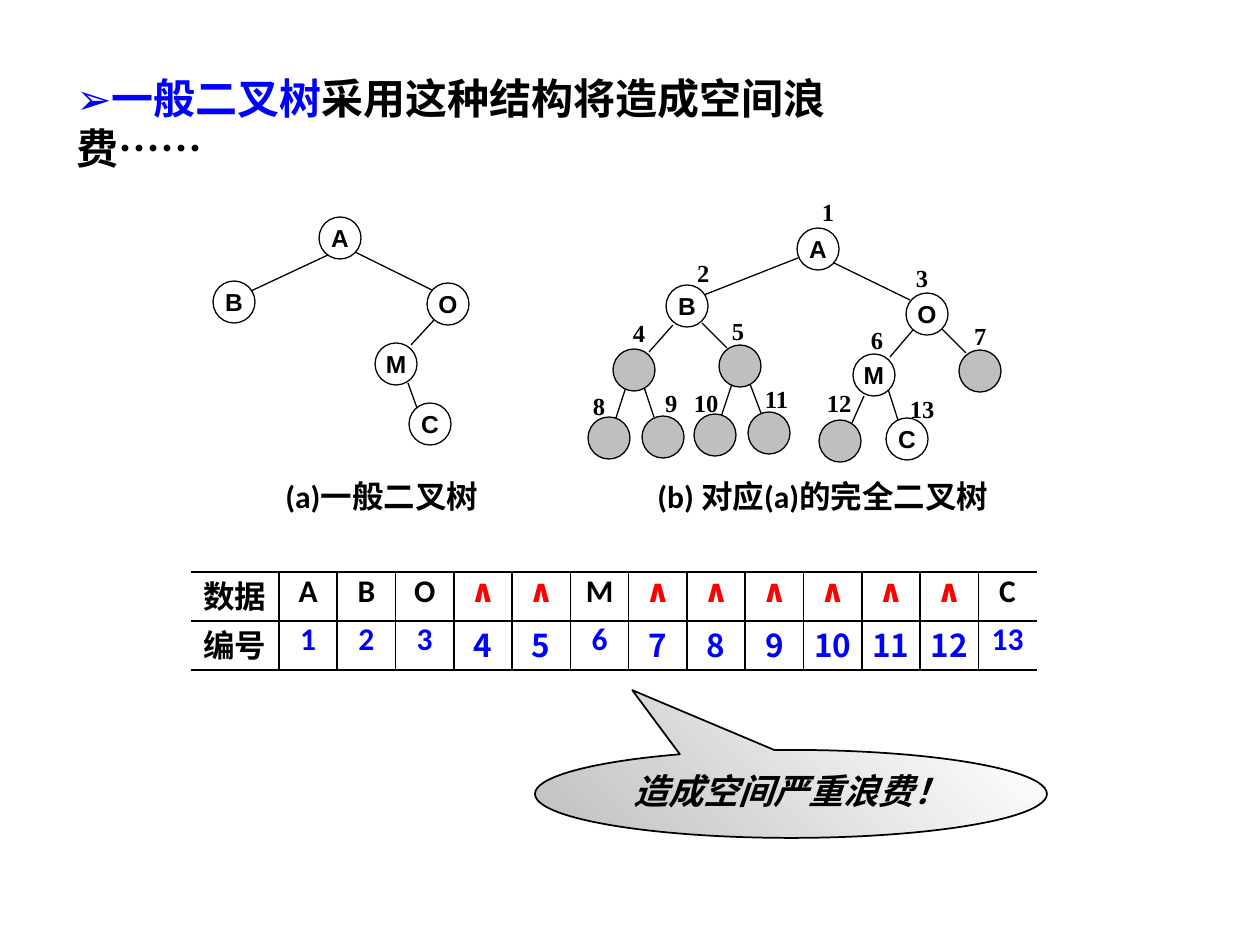
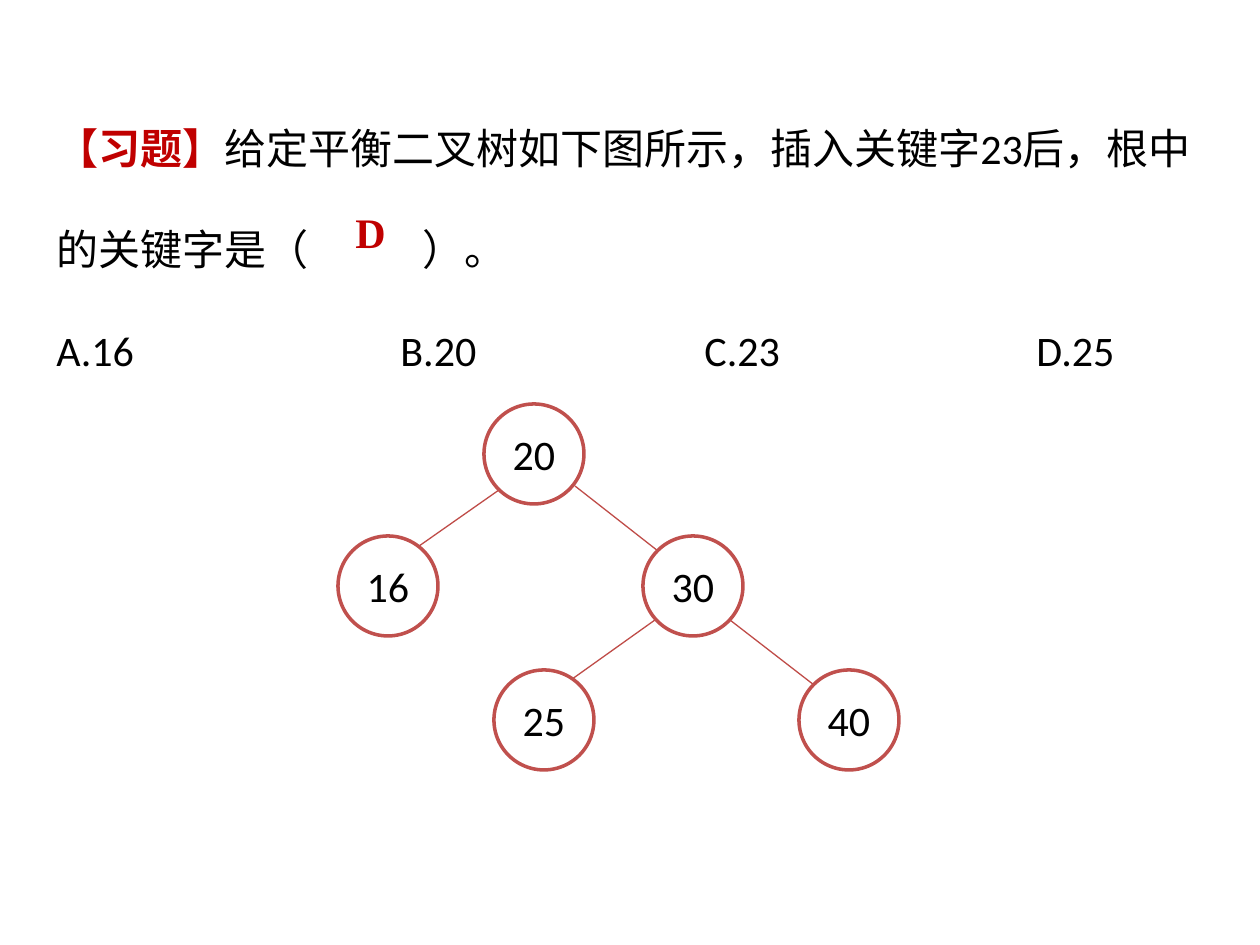
from pptx import Presentation
from pptx.dml.color import RGBColor
from pptx.enum.shapes import MSO_CONNECTOR as Link, MSO_SHAPE as Shape
from pptx.enum.text import MSO_ANCHOR as Anchor, PP_ALIGN as Align
from pptx.oxml.ns import qn
from pptx.util import Pt
from lxml.etree import SubElement

SCALE = 914400 / 126
BLACK, WHITE, GREY = "000000", "FFFFFF", "BFBFBF"
BLUE, RED, DARK = "0000FF", "FF0000", "C00000"
ROSE, EDGE = "C0504D", "BF4C48"
HAN = "Noto Sans CJK SC"

BODY = dict(name="Calibri", size=Pt(24), bold=False, color=BLACK)
HEAD = BODY | dict(bold=True)
CELL = HEAD | dict(size=Pt(18))
LETTER = dict(name="Arial", size=Pt(14), bold=True, color=BLACK)
NUMBER = LETTER | dict(name="Times New Roman")
ANSWER = dict(name="Times New Roman", size=Pt(24), bold=True, color=DARK)
SHOUT = ANSWER | dict(size=Pt(20), italic=True, color=BLACK)

PLAIN = dict(
    nodes=[("A", 340, 238), ("B", 234, 302), ("O", 448, 304),
           ("M", 396, 364), ("C", 430, 424)],
    edges=[(328, 255, 251, 291), (355, 252, 432, 290),
           (435, 319, 411, 345), (408, 383, 417, 408)])
# An empty letter marks a padding node.
FULL = dict(
    nodes=[("A", 818, 249), ("B", 687, 306), ("O", 927, 314),
           ("", 634, 370), ("", 740, 366), ("M", 874, 375), ("", 980, 371),
           ("", 609, 438), ("", 663, 437), ("", 715, 435), ("", 769, 433),
           ("", 840, 441), ("C", 907, 439)],
    edges=[(798, 258, 704, 295), (834, 263, 910, 300),
           (673, 325, 649, 352), (702, 323, 727, 348),
           (913, 330, 890, 357), (941, 328, 966, 353),
           (626, 387, 615, 421), (644, 387, 654, 417),
           (732, 384, 721, 417), (750, 384, 761, 413),
           (864, 396, 852, 423), (888, 389, 898, 420)])
# Left edge and middle height of the numbers 1 to 13.
MARKS = [(822, 212), (697, 273), (916, 278), (633, 333), (732, 331),
         (871, 340), (974, 336), (593, 406), (665, 403), (694, 403),
         (765, 399), (827, 403), (910, 409)]
SEARCH = dict(
    nodes=[("20", 534, 454), ("16", 388, 586), ("30", 693, 586),
           ("25", 544, 720), ("40", 849, 720)],
    edges=[(499, 490, 412, 551), (575, 486, 658, 551),
           (655, 620, 568, 682), (730, 620, 814, 685)])


def px(*nums):
    return [round(n * SCALE) for n in nums]


def rgb(code):
    return RGBColor.from_string(code)


def put(para, text, form):
    """Add one run in the given format."""
    run = para.add_run()
    run.text = text
    for key, value in form.items():
        if key == "color":
            run.font.color.rgb = rgb(value)
        else:
            setattr(run.font, key, value)
    SubElement(run.font._element, qn("a:ea"), typeface=HAN)


def pad(frame, size):
    for side in ("left", "top", "right", "bottom"):
        setattr(frame, "margin_" + side, px(size)[0])


def box(slide, area, *runs, align=Align.LEFT):
    """Add a wrapping text box; each run is (text, format)."""
    frame = slide.shapes.add_textbox(*px(*area)).text_frame
    frame.word_wrap = True
    para = frame.paragraphs[0]
    para.alignment = align
    for text, form in runs:
        put(para, text, form)
    return frame


def stops(para, *places):
    tabs = SubElement(para._p.get_or_add_pPr(), qn("a:tabLst"))
    for place in px(*places):
        SubElement(tabs, qn("a:tab"), pos=str(place), algn="l")


def form(slide, kind, area, color, width):
    """Add a preset shape with an outline and no shadow."""
    shape = slide.shapes.add_shape(kind, *px(*area))
    shape.shadow.inherit = False
    shape.line.color.rgb = rgb(color)
    shape.line.width = Pt(width)
    return shape


def node(slide, text, x, y, size, line, width, style):
    area = (x - size / 2, y - size / 2, size, size)
    disc = form(slide, Shape.OVAL, area, line, width)
    disc.fill.solid()
    disc.fill.fore_color.rgb = rgb(WHITE if text else GREY)
    if text:
        frame = disc.text_frame
        pad(frame, 0)
        frame.word_wrap = False
        frame.vertical_anchor = Anchor.MIDDLE
        frame.paragraphs[0].alignment = Align.CENTER
        put(frame.paragraphs[0], text, style)


def edge(slide, ends, color):
    line = slide.shapes.add_connector(Link.STRAIGHT, *px(*ends))
    line.line.color.rgb = rgb(color)
    line.line.width = Pt(0.75)
    SubElement(line._element.spPr, qn("a:effectLst"))


def tree(slide, data, size, line, width, link, style):
    for ends in data["edges"]:
        edge(slide, ends, link)
    for text, x, y in data["nodes"]:
        node(slide, text, x, y, size, line, width, style)


def mark(slide, num, x, y):
    frame = box(slide, (x, y - 15, 30, 30), (str(num), NUMBER))
    pad(frame, 0)
    frame.word_wrap = False
    frame.vertical_anchor = Anchor.MIDDLE


def rule(cell, side, shown):
    """Draw or hide one border of a cell."""
    props = cell._tc.get_or_add_tcPr()
    line = SubElement(props, qn("a:ln" + side), w=str(Pt(1)))
    if shown:
        paint = SubElement(line, qn("a:solidFill"))
        SubElement(paint, qn("a:srgbClr"), val=BLACK)
    else:
        SubElement(line, qn("a:noFill"))


def grid(slide, rows, area, first):
    """Add the storage table: a head column, then equal columns."""
    count = len(rows[0])
    table = slide.shapes.add_table(len(rows), count, *px(*area)).table
    table.first_row = table.horz_banding = False
    rest = (area[2] - first) / (count - 1)
    for i, col in enumerate(table.columns):
        col.width = px(rest if i else first)[0]
    for r, row in enumerate(rows):
        for c, (text, style) in enumerate(row):
            cell = table.cell(r, c)
            cell.margin_left = cell.margin_right = px(9)[0]
            cell.margin_top = cell.margin_bottom = 0
            for side, shown in (("L", c > 0), ("R", c < count - 1),
                                ("T", True), ("B", True)):
                rule(cell, side, shown)
            cell.fill.background()
            para = cell.text_frame.paragraphs[0]
            para.alignment = Align.CENTER
            put(para, text, style)


def call(slide, text, area):
    """Add the shaded speech bubble."""
    shape = form(slide, Shape.OVAL_CALLOUT, area, BLACK, 1)
    shape.adjustments[0], shape.adjustments[1] = -0.31, -1.18
    shape.fill.gradient()
    shape.fill.gradient_angle = 45
    for stop, color in zip(shape.fill.gradient_stops, ("C0C0C0", WHITE)):
        stop.color.rgb = rgb(color)
    frame = shape.text_frame
    frame.vertical_anchor = Anchor.TOP
    frame.paragraphs[0].alignment = Align.CENTER
    put(frame.paragraphs[0], text, SHOUT)


def waste(slide):
    """Slide on the space lost by a sparse tree."""
    for num, (x, y) in enumerate(MARKS, 1):
        mark(slide, num, x, y)
    for data in (PLAIN, FULL):
        tree(slide, data, 42, BLACK, 0.75, BLACK, LETTER)
    box(slide, (273, 471, 280, 50), ("(a)一般二叉树", CELL))
    box(slide, (645, 471, 420, 50), ("(b) 对应(a)的完全二叉树", CELL))

    items, keys = [("数据", CELL)], [("编号", CELL)]
    for num, (text, *_) in enumerate(FULL["nodes"], 1):
        items.append((text or "∧", CELL | dict(color=BLACK if text else RED)))
        face = CELL["name"] if text else HAN
        keys.append((str(num), CELL | dict(color=BLUE, name=face)))
    grid(slide, [items, keys], (191, 572, 846, 98), 88)

    call(slide, "造成空间严重浪费！", (535, 750, 512, 88))
    box(slide, (64, 66, 887, 114), ("➢一般二叉树", HEAD | dict(color=BLUE)),
        ("采用这种结构将造成空间浪费……", HEAD))


def quiz(slide):
    """Slide with the balanced tree exercise."""
    frame = box(slide, (44, 66, 1181, 304),
                ("【习题】", HEAD | dict(color=DARK)),
                ("给定平衡二叉树如下图所示，插入关键字23后，"
                 "根中的关键字是（\t）。", BODY))
    ask, picks = frame.paragraphs[0], frame.add_paragraph()
    stops(ask, 366)
    stops(picks, 344, 648, 980)
    put(picks, "A.16\tB.20\tC.23\tD.25", BODY)
    for para in (ask, picks):
        para.line_spacing = 2.0
    box(slide, (343, 200, 48, 63), ("D", ANSWER), align=Align.CENTER)
    tree(slide, SEARCH, 100, ROSE, 2, EDGE, BODY)


def main():
    deck = Presentation()
    deck.slide_width, deck.slide_height = px(1260, 945)
    for build in (waste, quiz):
        build(deck.slides.add_slide(deck.slide_layouts[6]))
    deck.save("out.pptx")


if __name__ == "__main__":
    main()
